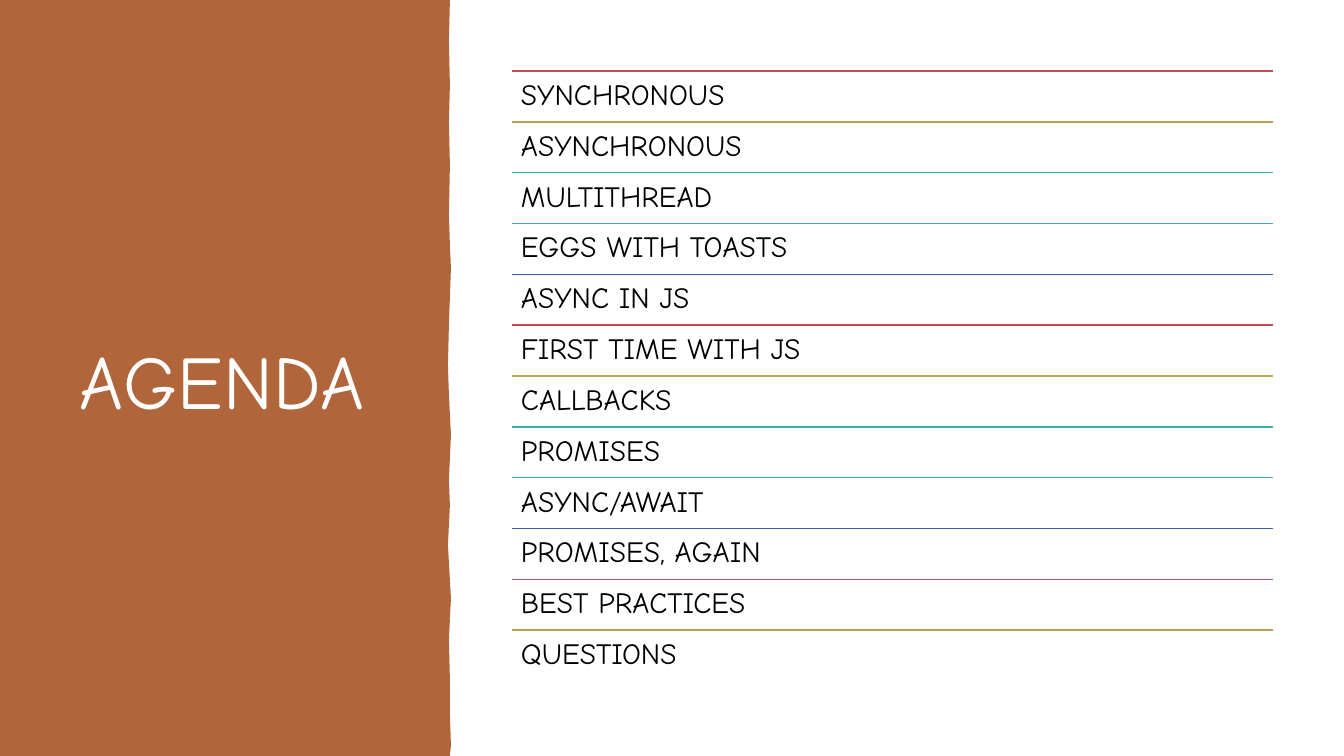
import pptx
import pptx.util
import pptx.dml.color
import pptx.enum.shapes
import pptx.enum.text
import pptx.oxml

TITLE = "AGENDA"
TOPICS = [
    "SYNCHRONOUS", "ASYNCHRONOUS", "MULTITHREAD", "EGGS WITH TOASTS",
    "ASYNC IN JS", "FIRST TIME WITH JS", "CALLBACKS", "PROMISES",
    "ASYNC/AWAIT", "PROMISES, AGAIN", "BEST PRACTICES", "QUESTIONS",
]
RULE_COLORS = ["C34D54", "BBA149", "3BB1A3", "4DA1C3", "3B5DB1"]
PANEL_COLOR = "B1653B"
FONT = "Comic Neue"

# Lengths in px, 100.8 to the inch
PX = 914400 / 100.8
WIDTH, HEIGHT = 1344, 756
TITLE_BOX = (70, 71, 342, 616)
LIST_LEFT, LIST_TOP, LIST_WIDTH, LIST_HEIGHT = 512, 71, 761, 610
PANEL_EDGE = [
    (450, 0), (449, 42), (450, 85), (449, 122), (450, 165), (449, 215),
    (450, 245), (451, 268), (449, 325), (448, 365), (449, 395), (451, 435),
    (449, 480), (450, 505), (448, 545), (451, 598), (449, 640), (450, 680),
    (450, 715), (451, 745), (450, 756),
]


def emu(px):
    return pptx.util.Emu(round(px * PX))


def rgb(value):
    return pptx.dml.color.RGBColor.from_string(value)


def add_text(s, text, box, size, color, anchor, inset, spacing):
    tf = s.shapes.add_textbox(*map(emu, box)).text_frame
    tf.word_wrap = True
    tf.vertical_anchor = anchor
    tf.margin_left = tf.margin_right = emu(inset)
    tf.margin_top = tf.margin_bottom = emu(inset)
    p = tf.paragraphs[0]
    p.text = text
    p.line_spacing = spacing
    p.font.name = FONT
    p.font.size = pptx.util.Pt(size)
    p.font.color.rgb = rgb(color)


def add_rule(s, left, top, width, color):
    line = s.shapes.add_connector(
        pptx.enum.shapes.MSO_CONNECTOR.STRAIGHT,
        emu(left), emu(top), emu(left + width), emu(top))
    line.line.color.rgb = rgb(color)
    line.line.width = pptx.util.Pt(1)
    line._element.spPr.append(pptx.oxml.parse_xml(
        '<a:effectLst xmlns:a="http://schemas.openxmlformats.org/drawingml/2006/main"/>'))


def add_panel(s):
    """Draw the side panel with its hand-cut right edge."""
    builder = s.shapes.build_freeform(0, 0, scale=PX)
    builder.add_line_segments(PANEL_EDGE + [(0, HEIGHT)], close=True)
    panel = builder.convert_to_shape()
    panel.shadow.inherit = False
    panel.fill.solid()
    panel.fill.fore_color.rgb = rgb(PANEL_COLOR)
    panel.line.fill.background()


def main():
    prs = pptx.Presentation()
    prs.slide_width, prs.slide_height = emu(WIDTH), emu(HEIGHT)
    s = prs.slides.add_slide(prs.slide_layouts[6])
    anchors = pptx.enum.text.MSO_ANCHOR

    add_panel(s)
    add_text(s, TITLE, TITLE_BOX, 54, "FFFFFF", anchors.MIDDLE, 10, 1.0)

    row = LIST_HEIGHT / len(TOPICS)
    for i, topic in enumerate(TOPICS):
        top = LIST_TOP + i * row
        add_rule(s, LIST_LEFT, top, LIST_WIDTH, RULE_COLORS[i % len(RULE_COLORS)])
        add_text(s, topic, (LIST_LEFT, top, LIST_WIDTH, row), 21, "000000",
                 anchors.TOP, 9, 0.9)

    prs.save("out.pptx")


if __name__ == "__main__":
    main()
